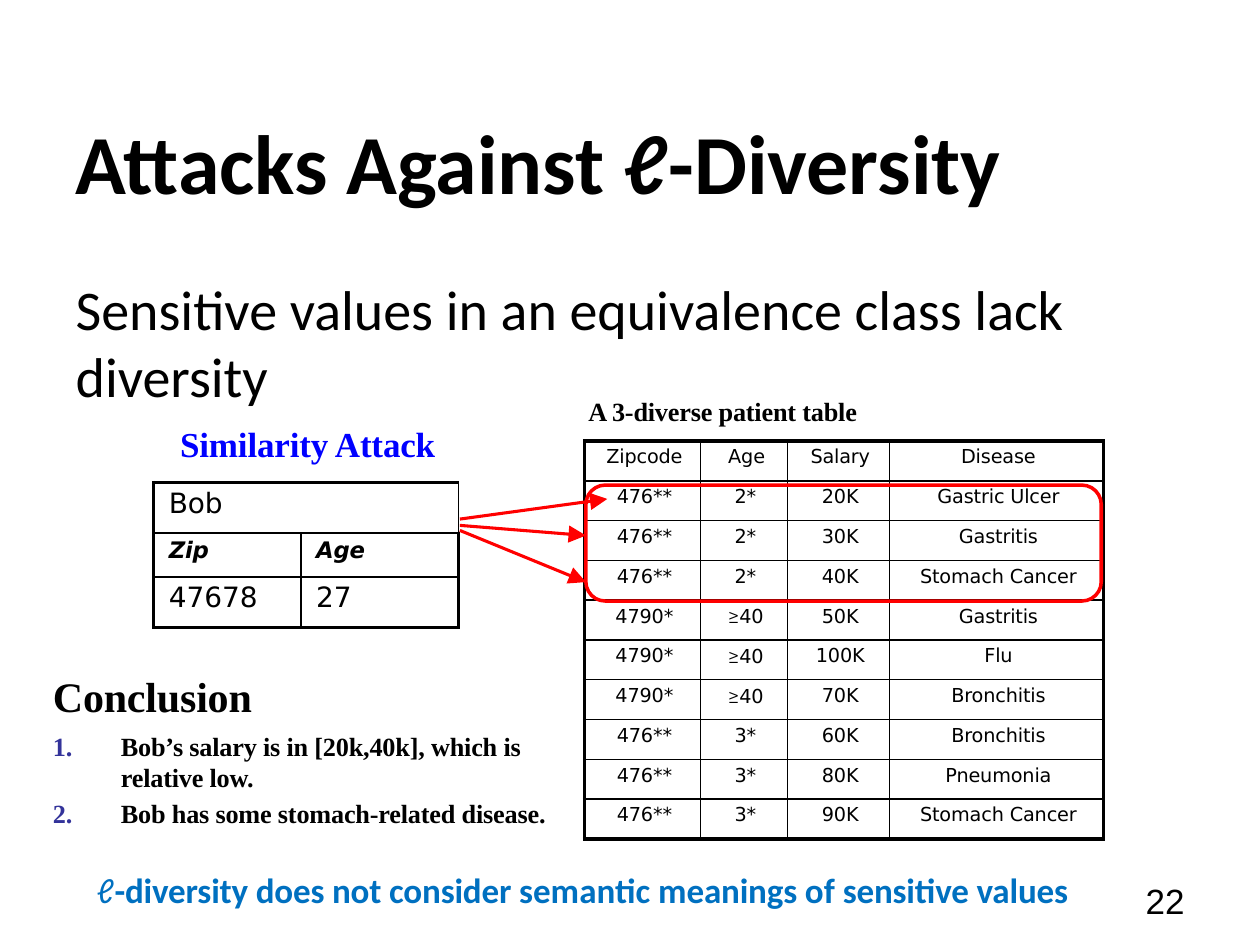
import pptx
import pptx.dml.color
import pptx.enum.shapes
import pptx.enum.text
import pptx.oxml
import pptx.oxml.ns
import pptx.util

PX = 9144
BLACK, RED = "000000", "FF0000"
SERIF, SANS, TABLE_FONT = "Times New Roman", "Calibri", "DejaVu Sans"
LEFT, CENTER, RIGHT = (getattr(pptx.enum.text.PP_ALIGN, side) for side in ("LEFT", "CENTER", "RIGHT"))


def px(length):
    """Turn px into EMU."""
    return pptx.util.Emu(round(length * PX))


def color(hex_code):
    """Turn a hex string into a colour."""
    return pptx.dml.color.RGBColor.from_string(hex_code)


def element(xml):
    """Parse a DrawingML element."""
    return pptx.oxml.parse_xml(xml.replace(" ", f' {pptx.oxml.ns.nsdecls("a")} ', 1))


def add_run(paragraph, words, size, font=SERIF, ink=BLACK, bold=False, italic=False, spacing=0):
    """Add one formatted run to a paragraph."""
    run = paragraph.add_run()
    run.text = words
    run.font.size, run.font.name = pptx.util.Pt(size), font
    run.font.bold, run.font.italic = bold, italic
    run.font.color.rgb = color(ink)
    if spacing:
        run.font._element.set("spc", str(spacing))


def set_margins(holder, left=0, top=0, right=0, bottom=0):
    """Set the inner margins of a text frame or a table cell."""
    holder.margin_left, holder.margin_top = px(left), px(top)
    holder.margin_right, holder.margin_bottom = px(right), px(bottom)


def place(shape, box):
    """Move a shape to a box."""
    shape.left, shape.top, shape.width, shape.height = map(px, box)


def add_text_box(slide, box, left=0, top=1):
    """Add a wrapping text box and return its frame."""
    frame = slide.shapes.add_textbox(*map(px, box)).text_frame
    frame.word_wrap = True
    set_margins(frame, left, top)
    return frame


def add_label(slide, box, words, size, ink=BLACK, left=1):
    """Add a bold serif label."""
    frame = add_text_box(slide, box, left)
    add_run(frame.paragraphs[0], words, size, ink=ink, bold=True, spacing=-10)


def fill_heading(slide, title_box, body_box):
    """Fill the title and body placeholders."""
    title, body = slide.shapes.title, slide.placeholders[1]
    place(title, title_box)
    place(body, body_box)
    title.text_frame.vertical_anchor = pptx.enum.text.MSO_ANCHOR.MIDDLE
    heading = title.text_frame.paragraphs[0]
    heading.alignment = LEFT
    for words, italic in (("Attacks Against ", False), ("ℓ", True), ("-Diversity", False)):
        add_run(heading, words, 48, SANS, bold=True, italic=italic)
    statement = body.text_frame.paragraphs[0]
    properties = statement._p.get_or_add_pPr()
    properties.set("marL", "0")
    properties.set("indent", "0")
    properties.append(element("<a:buNone />"))
    statement.space_before = pptx.util.Pt(0)
    add_run(statement, "Sensitive values in an equivalence class lack diversity", 32, SANS)


def add_grid(slide, box, widths, heights, bottom_rules):
    """Add an unfilled table with thick outer and thin inner rules."""
    grid = slide.shapes.add_table(len(heights), len(widths), *map(px, box)).table
    grid.first_row = grid.horz_banding = False
    for column, width in zip(grid.columns, widths):
        column.width = px(width)
    for row, height in zip(grid.rows, heights):
        row.height = px(height)
    for r in range(len(heights)):
        for c in range(len(widths)):
            cell = grid.cell(r, c)
            set_margins(cell, top=4)
            rules = {
                "L": 1 if c else 2.25,
                "R": 2.25 if c == len(widths) - 1 else 1,
                "T": 1 if r else 2.25,
                "B": bottom_rules[c] if r == len(heights) - 1 else 1,
            }
            for side, points in rules.items():
                cell._tc.get_or_add_tcPr().append(element(
                    f'<a:ln{side} w="{round(points * 12700)}"><a:solidFill>'
                    f'<a:srgbClr val="{BLACK}"/></a:solidFill></a:ln{side}>'))
            cell.fill.background()
    return grid


def add_bob_table(slide, box):
    """Add what the attacker knows about Bob."""
    grid = add_grid(slide, box, (117, 125), (40, 35, 40), (2.25, 2.25))
    grid.cell(0, 0).merge(grid.cell(0, 1))
    for r, facts in enumerate((("Bob",), ("Zip", "Age"), ("47678", "27"))):
        header = r == 1
        for c, fact in enumerate(facts):
            cell = grid.cell(r, c)
            cell.margin_left = px(12)
            add_run(cell.text_frame.paragraphs[0], fact, 13 if header else 16, TABLE_FONT,
                    bold=header, italic=header, spacing=-10 if header else 0)


def add_patient_table(slide, box):
    """Add the 3-diverse patient table."""
    classes = (
        ("476**", "2*", (("20K", "Gastric Ulcer"), ("30K", "Gastritis"), ("40K", "Stomach Cancer"))),
        ("4790*", "≥40", (("50K", "Gastritis"), ("100K", "Flu"), ("70K", "Bronchitis"))),
        ("476**", "3*", (("60K", "Bronchitis"), ("80K", "Pneumonia"), ("90K", "Stomach Cancer"))),
    )
    records = [("Zipcode", "Age", "Salary", "Disease")]
    records += [(zipcode, age, *private) for zipcode, age, group in classes for private in group]
    heights = [box[3] / len(records)] * len(records)
    grid = add_grid(slide, box, (92, 69, 81, 170), heights, (2.25, 3, 3, 3))
    for r, record in enumerate(records):
        for c, value in enumerate(record):
            cell = grid.cell(r, c)
            paragraph = cell.text_frame.paragraphs[0]
            is_age = c == 1
            cell.margin_left = px((27 if "*" in value else 22) if is_age else 3)
            paragraph.alignment = LEFT if is_age else CENTER
            if value.startswith("≥"):
                add_run(paragraph, "≥", 11, "Montserrat", spacing=-30)
            add_run(paragraph, value.lstrip("≥"), 11, TABLE_FONT, spacing=-10)


def add_conclusion(slide, box):
    """Add the numbered conclusions."""
    frame = add_text_box(slide, box, top=3)
    findings = ("Bob’s salary is in [20k,40k], which is relative low.",
                "Bob has some stomach-related disease.")
    for i, finding in enumerate(findings):
        paragraph = frame.add_paragraph() if i else frame.paragraphs[0]
        properties = paragraph._p.get_or_add_pPr()
        properties.set("marL", str(px(55)))
        properties.set("indent", str(px(-54)))
        properties.append(element('<a:buClr ><a:srgbClr val="33339A"/></a:buClr>'))
        properties.append(element('<a:buFont typeface="Times New Roman"/>'))
        properties.append(element('<a:buAutoNum type="arabicPeriod"/>'))
        paragraph.line_spacing = pptx.util.Pt(17.7)
        paragraph.space_before = pptx.util.Pt(3 if i else 0)
        add_run(paragraph, finding, 15, bold=True, spacing=-10)


def add_attack(slide, box, source_x, links):
    """Outline the matching records and point arrows at them."""
    outline = slide.shapes.add_shape(
        pptx.enum.shapes.MSO_SHAPE.ROUNDED_RECTANGLE, *map(px, box))
    outline.shadow.inherit = False
    outline.fill.background()
    outline.line.color.rgb = color(RED)
    outline.line.width = pptx.util.Pt(2)
    for source_y, target_x, target_y in links:
        arrow = slide.shapes.add_connector(
            pptx.enum.shapes.MSO_CONNECTOR.STRAIGHT,
            *map(px, (source_x, source_y, target_x, target_y)))
        arrow.line.color.rgb = color(RED)
        arrow.line.width = pptx.util.Pt(1.75)
        arrow.line._get_or_add_ln().append(element('<a:tailEnd type="triangle" w="lg" len="lg"/>'))
        arrow._element.spPr.append(element("<a:effectLst />"))


def add_takeaway(slide, box):
    """Add the closing statement."""
    paragraph = add_text_box(slide, box, left=1, top=3).paragraphs[0]
    paragraph.line_spacing = pptx.util.Pt(28.5)
    add_run(paragraph, "ℓ", 20, SANS, "0070C0", italic=True)
    for words, spacing in (("-diversity does not consider ", -10), ("semantic ", 0),
                           ("meanings ", -10), ("of ", 0), ("sensitive values", -10)):
        add_run(paragraph, words, 20, SANS, "0070C0", bold=True, spacing=spacing)


def add_page_number(slide, box):
    """Add the page number."""
    frame = add_text_box(slide, box)
    set_margins(frame, 10, 5, 10, 5)
    frame.vertical_anchor = pptx.enum.text.MSO_ANCHOR.MIDDLE
    frame.paragraphs[0].alignment = RIGHT
    add_run(frame.paragraphs[0], "22", 20, "Arial")


def main():
    """Build the slide and save it."""
    deck = pptx.Presentation()
    deck.slide_width, deck.slide_height = px(1000), px(750)
    slide = deck.slides.add_slide(deck.slide_layouts[1])
    fill_heading(slide, (50, 65, 900, 125), (50, 213, 931, 462))
    add_page_number(slide, (717, 695, 233, 40))
    add_label(slide, (75, 334, 366, 35), "Similarity Attack", 20, "0000FF", left=68)
    add_bob_table(slide, (122, 383, 242, 115))
    add_patient_table(slide, (464, 350, 412, 316))
    add_label(slide, (466, 313, 221, 28), "A 3-diverse patient table", 15)
    add_label(slide, (41, 531, 162, 43), "Conclusion", 24)
    add_conclusion(slide, (41, 577, 400, 82))
    add_attack(slide, (465, 385, 409, 92), 365,
               ((412, 482, 396), (417, 465, 425), (421, 465, 462)))
    add_takeaway(slide, (76, 680, 811, 44))
    deck.save("out.pptx")


if __name__ == "__main__":
    main()
